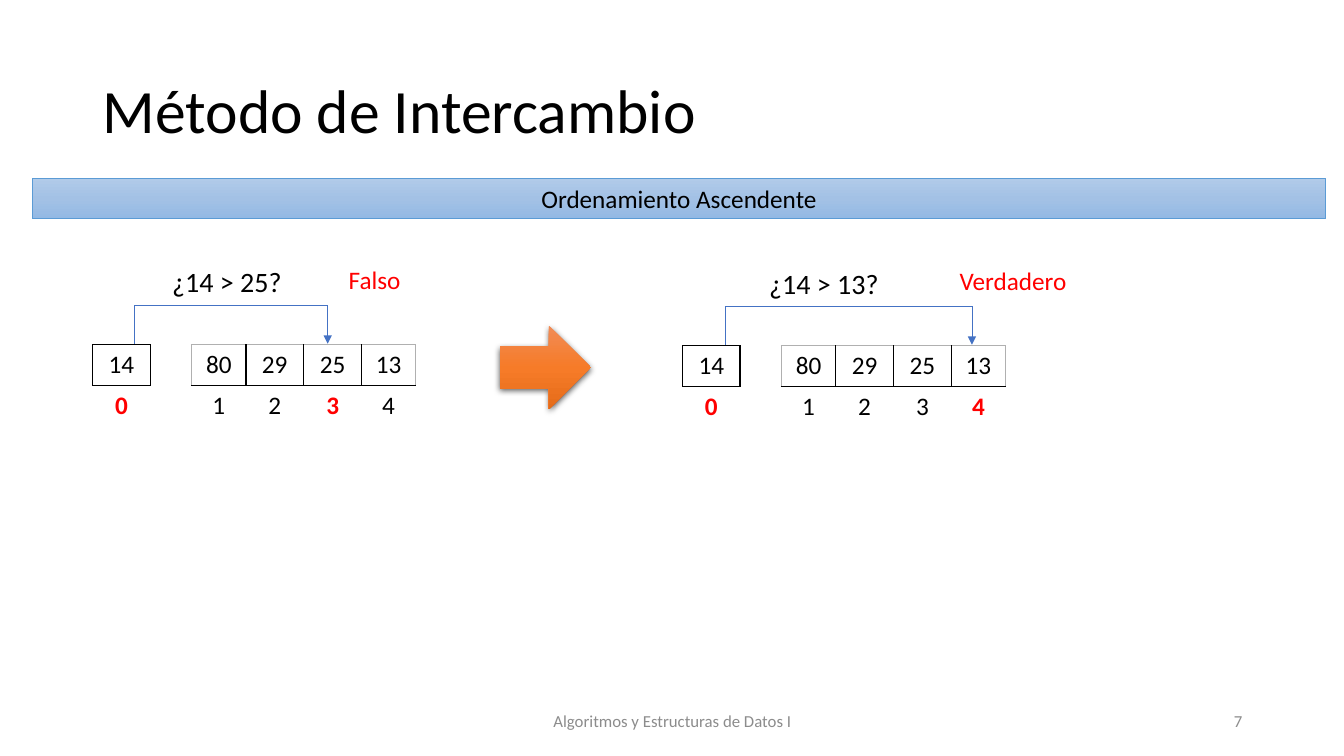
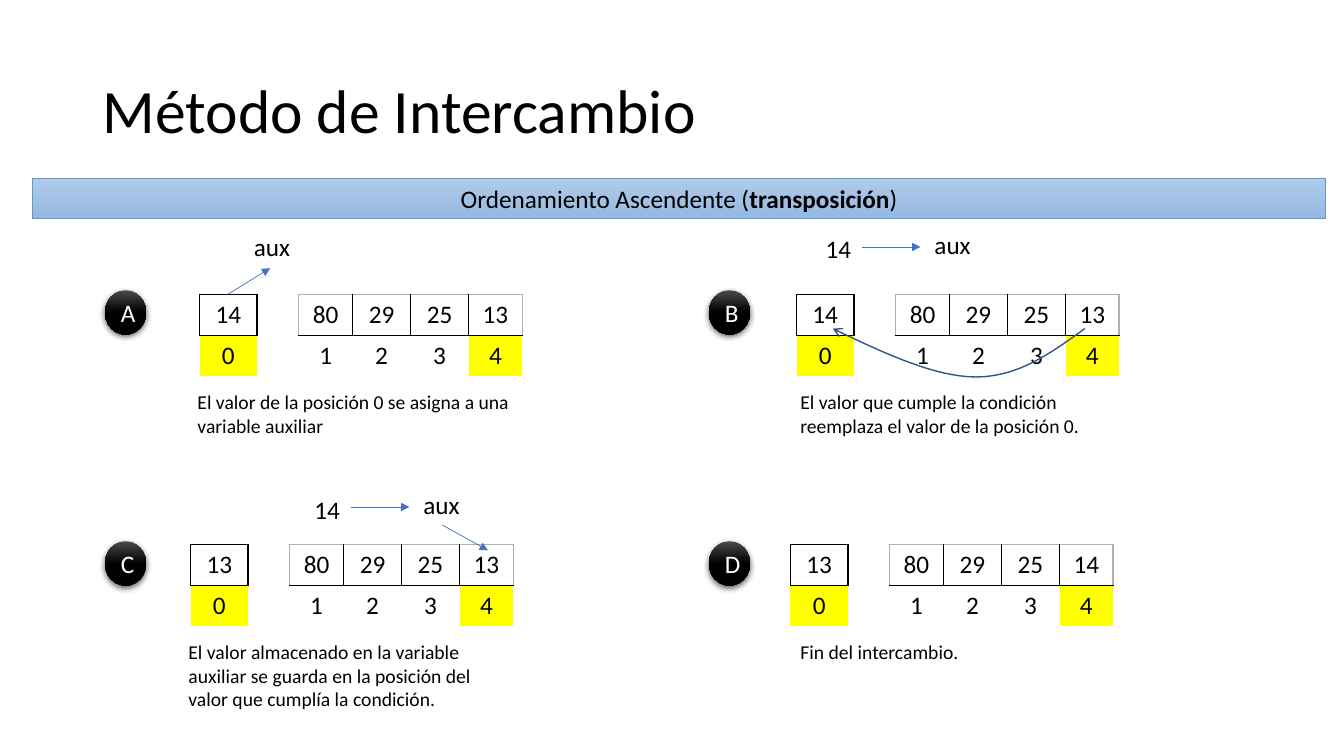
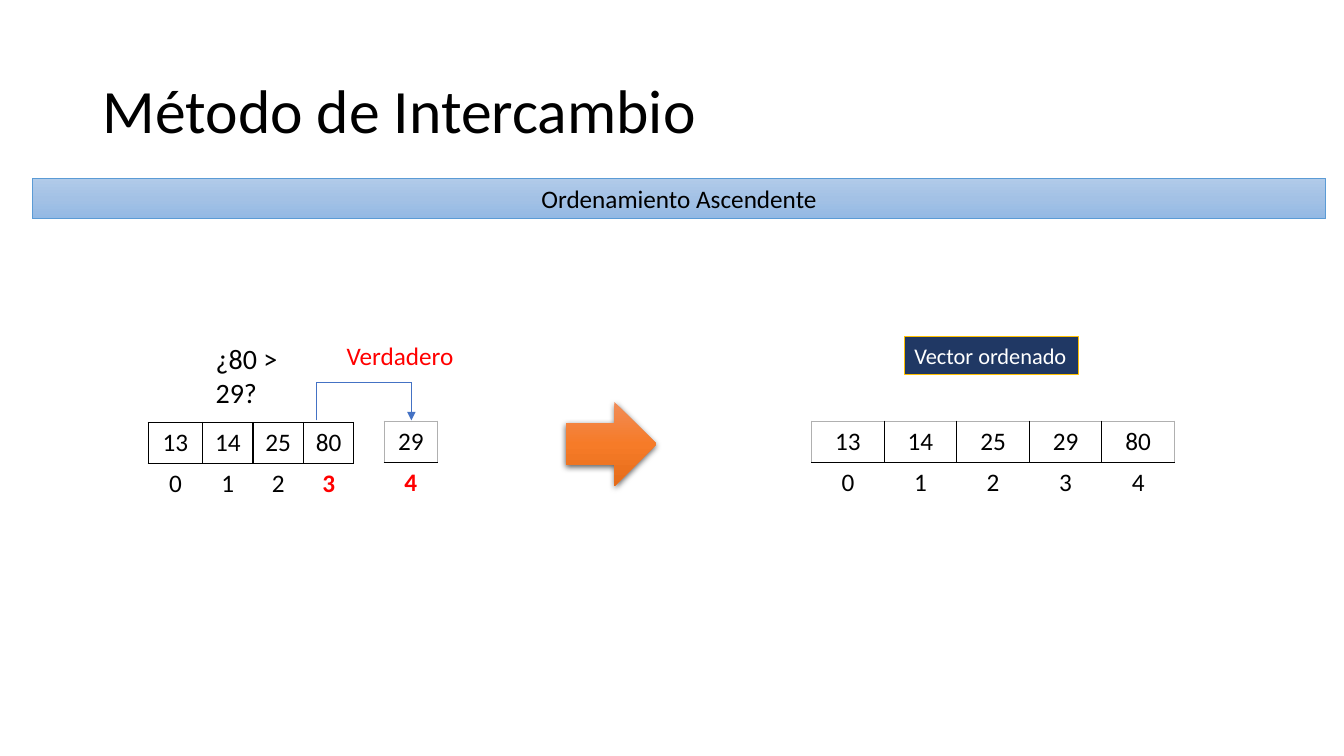
from dataclasses import dataclass

from lxml.etree import SubElement
from pptx import Presentation
from pptx.dml.color import RGBColor
from pptx.enum.shapes import MSO_CONNECTOR, MSO_SHAPE
from pptx.enum.text import MSO_ANCHOR, PP_ALIGN
from pptx.oxml.ns import qn
from pptx.util import Emu, Pt

PX = 9144  # EMU per px, 100 px to the inch
FONT = "Calibri"
BLACK, WHITE, RED, YELLOW = "000000", "FFFFFF", "FF0000", "FFFF00"
GRAY, EDGE, BLUE, CURVE = "8C8C8C", "B0B0B0", "4472C4", "325491"
BAND_GRADIENT = ("B1CBE9", "A3C1E5", "93B9E4")
ARROW_GRADIENT = ("F18C57", "F67B28", "E56C19")
BADGE_GRADIENT = ("4B4B4B", "000000", "000000")
NO_STYLE = "{2D5ABB26-0587-4C30-8999-92F81FD0307C}"
LEAD_WIDTH, REST_OFFSET, REST_WIDTHS = 57, 98, (54, 57, 58, 53)


@dataclass
class Vector:
    x: int
    y: int
    widths: tuple[int, ...]
    values: tuple[int, ...]
    first: int = 0
    marked: tuple[int, ...] = ()
    highlight: bool = False  # yellow cell instead of red bold index
    edge: str = BLACK


@dataclass
class Comparison:
    question: str
    x: int
    width: int
    answer: str
    answer_x: int
    answer_width: int
    start: int
    end: int
    bend: int


@dataclass
class Step:
    letter: str
    badge_x: int
    badge_y: int
    x: int
    y: int
    values: tuple[int, ...]
    caption: str
    caption_x: int
    caption_width: int


def px(n: float) -> Emu:
    return Emu(round(n * PX))


def color(value: str) -> RGBColor:
    return RGBColor.from_string(value)


# Text
def write(p, runs, size=18, ink=BLACK, bold=False, align=PP_ALIGN.LEFT) -> None:
    """Fill a paragraph; runs is a string or a list of (text, bold)."""
    p.alignment = align
    for text, strong in [(runs, bold)] if isinstance(runs, str) else runs:
        r = p.add_run()
        r.text = text
        for name, value in {"name": FONT, "size": Pt(size), "bold": strong}.items():
            setattr(r.font, name, value)
        r.font.color.rgb = color(ink)


def label(s, x: int, y: int, w: int, h: int, text: str, wrap=False,
          anchor=MSO_ANCHOR.TOP, **style):
    tf = s.shapes.add_textbox(px(x), px(y), px(w), px(h)).text_frame
    for name, value in {"word_wrap": wrap, "vertical_anchor": anchor}.items():
        setattr(tf, name, value)
    write(tf.paragraphs[0], text, **style)
    return tf


# Shapes and lines
def shape(s, kind, x: int, y: int, w: int, h: int, fill, line=None, shadow=False):
    """Preset shape with a solid colour or a vertical three-stop gradient."""
    sp = s.shapes.add_shape(kind, px(x), px(y), px(w), px(h))
    sp.shadow.inherit = False
    if isinstance(fill, str):
        sp.fill.solid()
        sp.fill.fore_color.rgb = color(fill)
    else:
        sp.fill.gradient()
        sp.fill.gradient_angle = 270
        stops = sp._element.spPr.find(".//" + qn("a:gsLst"))
        stops.clear()
        for i, value in enumerate(fill):
            stop = SubElement(stops, qn("a:gs"), pos=str(i * 50000))
            SubElement(stop, qn("a:srgbClr"), val=value)
    if line:
        sp.line.color.rgb = color(line)
        sp.line.width = Pt(0.5)
    else:
        sp.line.fill.background()
    if shadow:
        effects = sp._element.spPr.find(qn("a:effectLst"))
        outer = SubElement(effects, qn("a:outerShdw"), blurRad="57150", dist="19050",
                           dir="5400000", algn="ctr", rotWithShape="0")
        tint = SubElement(outer, qn("a:srgbClr"), val=BLACK)
        SubElement(tint, qn("a:alpha"), val="63000")
    tf = sp.text_frame
    tf.vertical_anchor = MSO_ANCHOR.MIDDLE
    return sp


def stroke(sp, ink: str, width: float, head: str | None) -> None:
    sp.line.color.rgb = color(ink)
    sp.line.width = Pt(width)
    if head:
        SubElement(sp.line._get_or_add_ln(), qn("a:tailEnd"), type=head)


def line(s, x1: int, y1: int, x2: int, y2: int, head: str | None = "triangle") -> None:
    c = s.shapes.add_connector(MSO_CONNECTOR.STRAIGHT, px(x1), px(y1), px(x2), px(y2))
    stroke(c, BLUE, 0.5, head)
    SubElement(c._element.spPr, qn("a:effectLst"))


def curve(s, *segments, steps: int = 16) -> None:
    """Open arrow along cubic segments, each given by four points in px."""
    points = []
    for a, b, c, d in segments:
        for i in range(steps + 1):
            t = i / steps
            points.append(tuple(
                px((1 - t) ** 3 * a[k] + 3 * t * (1 - t) ** 2 * b[k]
                   + 3 * t * t * (1 - t) * c[k] + t ** 3 * d[k]) for k in (0, 1)))
    builder = s.shapes.build_freeform(*points[0])
    builder.add_line_segments(points[1:], close=False)
    sp = builder.convert_to_shape()
    sp.shadow.inherit = False
    sp.fill.background()
    stroke(sp, CURVE, 1, "arrow")


def next_arrow(s, x: int, y: int) -> None:
    shape(s, MSO_SHAPE.RIGHT_ARROW, x, y, 90, 83, ARROW_GRADIENT, shadow=True)


# Vectors: a row of framed values over a row of indexes
def border(cell, sides: dict[str, str]) -> None:
    tc_pr = cell._tc.get_or_add_tcPr()
    for side in "LRTB":
        if side in sides:
            ln = SubElement(tc_pr, qn("a:ln" + side), w="12700")
            SubElement(SubElement(ln, qn("a:solidFill")), qn("a:srgbClr"), val=sides[side])


def draw_vector(s, v: Vector) -> None:
    n = len(v.values)
    frame = s.shapes.add_table(2, n, px(v.x), px(v.y), px(sum(v.widths)), px(81))
    frame._element.find(".//" + qn("a:tableStyleId")).text = NO_STYLE
    table = frame.table
    table.first_row = table.horz_banding = False
    for i, (width, value) in enumerate(zip(v.widths, v.values)):
        table.columns[i].width = px(width)
        index = v.first + i
        marked = index in v.marked
        red = marked and not v.highlight
        top, bottom = table.cell(0, i), table.cell(1, i)
        border(top, {"L": BLACK if i else v.edge, "R": BLACK if i < n - 1 else v.edge,
                     "T": v.edge, "B": BLACK})
        border(bottom, {"T": BLACK})
        write(top.text_frame.paragraphs[0], str(value), align=PP_ALIGN.CENTER)
        write(bottom.text_frame.paragraphs[0], str(index), ink=RED if red else BLACK,
              bold=red, align=PP_ALIGN.CENTER)
        top.fill.background()
        if marked and v.highlight:
            bottom.fill.solid()
            bottom.fill.fore_color.rgb = color(YELLOW)
        else:
            bottom.fill.background()


def draw_split(s, x: int, y: int, values: tuple[int, ...], marked: tuple[int, ...],
               highlight: bool = False) -> None:
    """Position 0 set apart from the rest of the vector."""
    draw_vector(s, Vector(x, y, (LEAD_WIDTH,), values[:1], 0, marked, highlight))
    draw_vector(s, Vector(x + REST_OFFSET, y, REST_WIDTHS, values[1:], 1, marked,
                          highlight, EDGE))


def draw_comparison(s, c: Comparison) -> None:
    label(s, c.x, c.bend - 45, c.width, 44, c.question, wrap=True, size=20)
    label(s, c.answer_x, c.bend - 46, c.answer_width, 40, c.answer, ink=RED)
    line(s, c.start, c.bend + 38, c.start, c.bend, None)
    line(s, c.start, c.bend, c.end, c.bend, None)
    line(s, c.end, c.bend, c.end, c.bend + 38)


def draw_step(s, step: Step) -> None:
    draw_split(s, step.x, step.y, step.values, (0, 4), highlight=True)
    label(s, step.caption_x, step.y + 90, step.caption_width, 57, step.caption,
          wrap=True, size=14)
    badge = shape(s, MSO_SHAPE.OVAL, step.badge_x, step.badge_y, 41, 44,
                  BADGE_GRADIENT, shadow=True)
    write(badge.text_frame.paragraphs[0], step.letter, ink=WHITE, align=PP_ALIGN.CENTER)


def draw_transfer(s, x: int, y: int) -> None:
    """14 -> aux"""
    label(s, x, y + 4, 46, 40, "14")
    line(s, x + 46, y + 22, x + 104, y + 22)
    label(s, x + 108, y, 56, 40, "aux")


# Shared slide frame
def new_slide(prs, heading):
    s = prs.slides.add_slide(prs.slide_layouts[6])
    tf = label(s, 92, 40, 1150, 145, "Método de Intercambio", wrap=True,
               anchor=MSO_ANCHOR.MIDDLE, size=44)
    tf.paragraphs[0].line_spacing = 0.9
    band = shape(s, MSO_SHAPE.RECTANGLE, 32, 177, 1283, 40, BAND_GRADIENT, "5B9BD5")
    write(band.text_frame.paragraphs[0], heading, align=PP_ALIGN.CENTER)
    return s


def comparison_slide(prs) -> None:
    s = new_slide(prs, "Ordenamiento Ascendente")
    values = (14, 80, 29, 25, 13)
    draw_split(s, 92, 342, values, (0, 3))
    draw_comparison(s, Comparison("¿14 > 25?", 161, 176, "Falso", 336, 72, 133, 325, 303))
    draw_split(s, 677, 343, values, (0, 4))
    draw_comparison(s, Comparison("¿14 > 13?", 753, 130, "Verdadero", 942, 127,
                                  719, 964, 304))
    next_arrow(s, 496, 323)
    footer = {"wrap": True, "anchor": MSO_ANCHOR.MIDDLE, "size": 12, "ink": GRAY}
    label(s, 442, 695, 450, 40, "Algoritmos y Estructuras de Datos I",
          align=PP_ALIGN.CENTER, **footer)
    label(s, 942, 695, 300, 40, "7", align=PP_ALIGN.RIGHT, **footer)


def swap_slide(prs) -> None:
    s = new_slide(prs, [("Ordenamiento Ascendente (", False), ("transposición", True),
                        (")", False)])
    before, copied, swapped = (14, 80, 29, 25, 13), (13, 80, 29, 25, 13), (13, 80, 29, 25, 14)
    for step in (
        Step("A", 104, 288, 198, 292, before,
             "El valor de la posición 0 se asigna a una variable auxiliar", 186, 332),
        Step("B", 703, 288, 790, 292, before,
             "El valor que cumple la condición reemplaza el valor de la posición 0.", 784, 326),
        Step("C", 104, 537, 189, 540, copied,
             "El valor almacenado en la variable auxiliar se guarda en la posición del "
             "valor que cumplía la condición.", 177, 332),
        Step("D", 703, 537, 784, 540, swapped, "Fin del intercambio.", 784, 326),
    ):
        draw_step(s, step)
    # A: position 0 goes to aux
    label(s, 242, 225, 56, 40, "aux")
    line(s, 226, 292, 268, 266)
    # B: position 4 goes to position 0
    draw_transfer(s, 809, 223)
    curve(s, ((1076, 326), (1043, 350), (1010, 374), (968, 374)),
          ((968, 374), (927, 374), (876, 350), (826, 326)))
    # C: aux goes to position 4
    draw_transfer(s, 302, 481)
    line(s, 439, 521, 484, 546)


def sorted_slide(prs) -> None:
    s = new_slide(prs, "Ordenamiento Ascendente")
    draw_vector(s, Vector(147, 419, (54, 50, 50, 50), (13, 14, 25, 80), marked=(3,)))
    draw_vector(s, Vector(381, 418, (53,), (29,), 4, (4,), edge=EDGE))
    draw_comparison(s, Comparison("¿80 > 29?", 204, 88, "Verdadero", 334, 127,
                                  314, 408, 379))
    next_arrow(s, 561, 399)
    tag = shape(s, MSO_SHAPE.RECTANGLE, 897, 334, 173, 37, "203864", "FFC000")
    tag.text_frame.word_wrap = False
    write(tag.text_frame.paragraphs[0], "Vector ordenado", size=16, ink=WHITE)
    draw_vector(s, Vector(805, 418, (72,) * 5, (13, 14, 25, 29, 80), edge=EDGE))


def main() -> None:
    prs = Presentation()
    prs.slide_width, prs.slide_height = px(1333), px(750)
    comparison_slide(prs)
    swap_slide(prs)
    sorted_slide(prs)
    prs.save("out.pptx")


if __name__ == "__main__":
    main()
